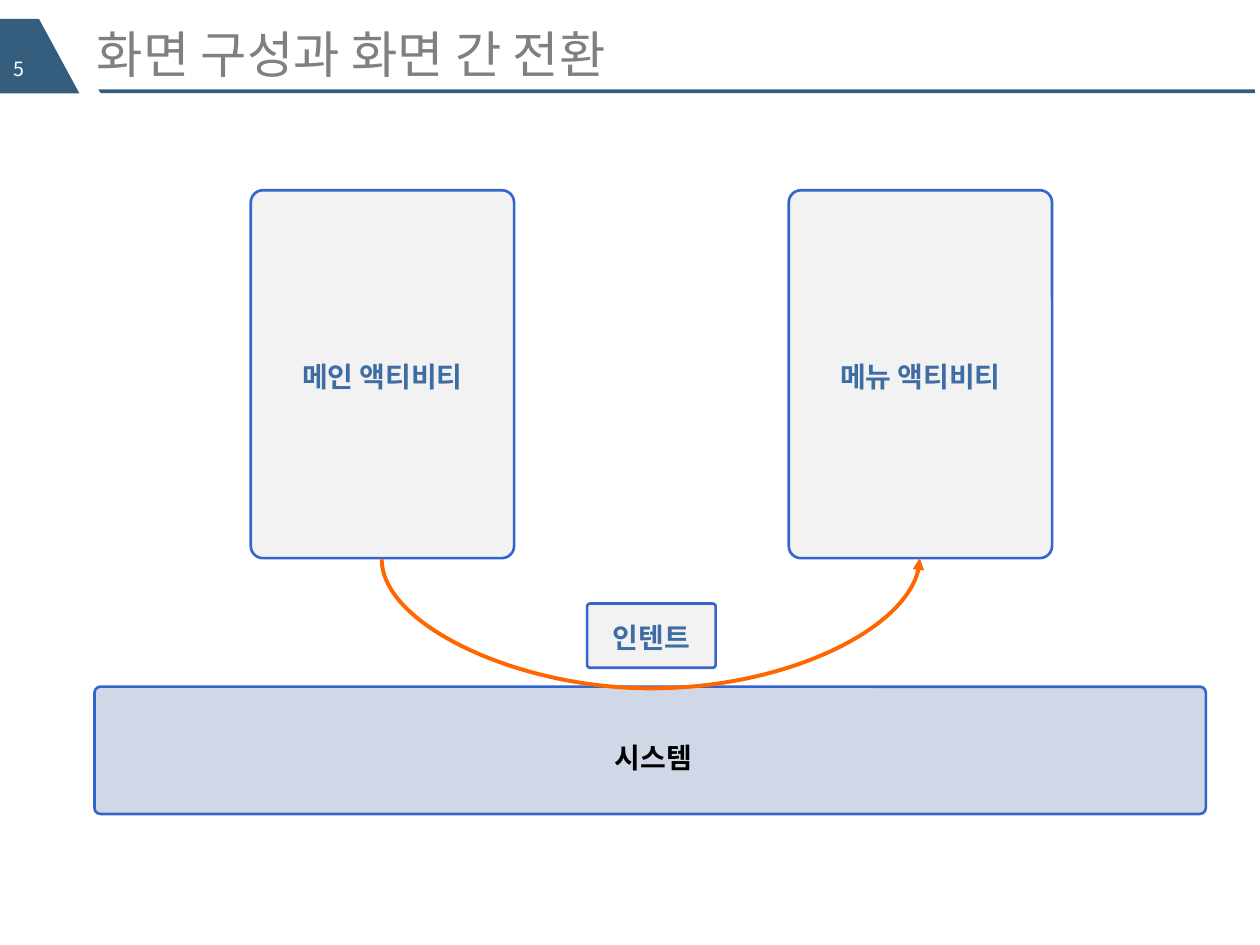
"""Build the slide on screen layout and switching between screens."""
from lxml import etree
from pptx import Presentation
from pptx.enum import shapes, text
from pptx.dml.color import RGBColor
from pptx.oxml import ns
from pptx.util import Inches, Pt

COLORS = {"banner": "355D7E", "title": "808080", "white": "FFFFFF", "panel": "F2F2F2",
          "system": "D0D8E8", "border": "3366CC", "label": "3E6CA4", "black": "000000",
          "arrow": "FF6600"}
FONT = "Noto Sans CJK KR"


def color(name):
    return RGBColor.from_string(COLORS[name])


def write(shape, words, size, ink, anchor, bold=False):
    frame = shape.text_frame
    frame.word_wrap = True
    frame.vertical_anchor = anchor
    frame.text = words
    paragraph = frame.paragraphs[0]
    span = paragraph.runs[0]
    span.font.name = FONT
    span.font.size = Pt(size)
    span.font.bold = bold
    span.font.color.rgb = color(ink)
    etree.SubElement(span.font._element, ns.qn("a:ea"), typeface=FONT)
    return paragraph


deck = Presentation()
deck.slide_width, deck.slide_height = Inches(10), Inches(7.5)
page = deck.slides.add_slide(deck.slide_layouts[6])

banner_outlines = [
    [(0.78, 0.71), (9.96, 0.71), (9.96, 0.74), (0.8, 0.74)],
    [(0.31, 0.15), (0.63, 0.74), (0, 0.74), (0, 0.15)],
]
for outline in banner_outlines:
    points = [(Inches(x), Inches(y)) for x, y in outline]
    builder = page.shapes.build_freeform(*points[0])
    builder.add_line_segments(points[1:], close=True)
    banner = builder.convert_to_shape()
    banner.shadow.inherit = False
    banner.fill.solid()
    banner.fill.fore_color.rgb = color("banner")
    banner.line.fill.background()

headings = [
    ("5", (0.01, 0.4, 0.58, 0.27), 11.2, "white", text.MSO_ANCHOR.TOP),
    ("화면 구성과 화면 간 전환", (0.67, 0.25, 8.92, 0.35), 28.8, "title", text.MSO_ANCHOR.MIDDLE),
]
for words, place, size, ink, anchor in headings:
    box = page.shapes.add_textbox(*map(Inches, place))
    write(box, words, size, ink, anchor)

arrow = page.shapes.add_connector(shapes.MSO_CONNECTOR.CURVE, Inches(5.17), Inches(6.57),
                                  Inches(5.16), Inches(2.3))
arrow.line.color.rgb = color("arrow")
arrow.line.width = Pt(2.25)
etree.SubElement(arrow.line._get_or_add_ln(), ns.qn("a:tailEnd"), type="triangle")
properties = arrow._element.spPr
etree.SubElement(properties, ns.qn("a:effectLst"))
properties.find(ns.qn("a:xfrm")).set("rot", "5400000")
geometry = properties.find(ns.qn("a:prstGeom"))
guides = geometry.find(ns.qn("a:avLst"))
if guides is None:
    guides = etree.SubElement(geometry, ns.qn("a:avLst"))
etree.SubElement(guides, ns.qn("a:gd"), name="adj1", fmla="val -10400000")

panels = [
    ("메인 액티비티", (1.99, 1.51, 2.09, 2.92), "panel", "label", 1.1),
    (" 시스템", (0.75, 5.45, 8.82, 1.01), "system", "black", 1.4),
    ("메뉴 액티비티", (6.26, 1.51, 2.09, 2.92), "panel", "label", 1.1),
    ("인텐트", (4.66, 4.79, 1.02, 0.51), "panel", "label", 1.1),
]
for words, place, fill, ink, spacing in panels:
    panel = page.shapes.add_shape(shapes.MSO_SHAPE.ROUNDED_RECTANGLE, *map(Inches, place))
    panel.adjustments[0] = 0.046
    panel.shadow.inherit = False
    panel.fill.solid()
    panel.fill.fore_color.rgb = color(fill)
    panel.line.color.rgb = color("border")
    panel.line.width = Pt(1.5)
    paragraph = write(panel, words, 16, ink, text.MSO_ANCHOR.MIDDLE, bold=True)
    paragraph.alignment = text.PP_ALIGN.CENTER
    paragraph.line_spacing = spacing
    if words == "메뉴 액티비티":
        page.shapes._spTree.append(arrow._element)

deck.save("out.pptx")
